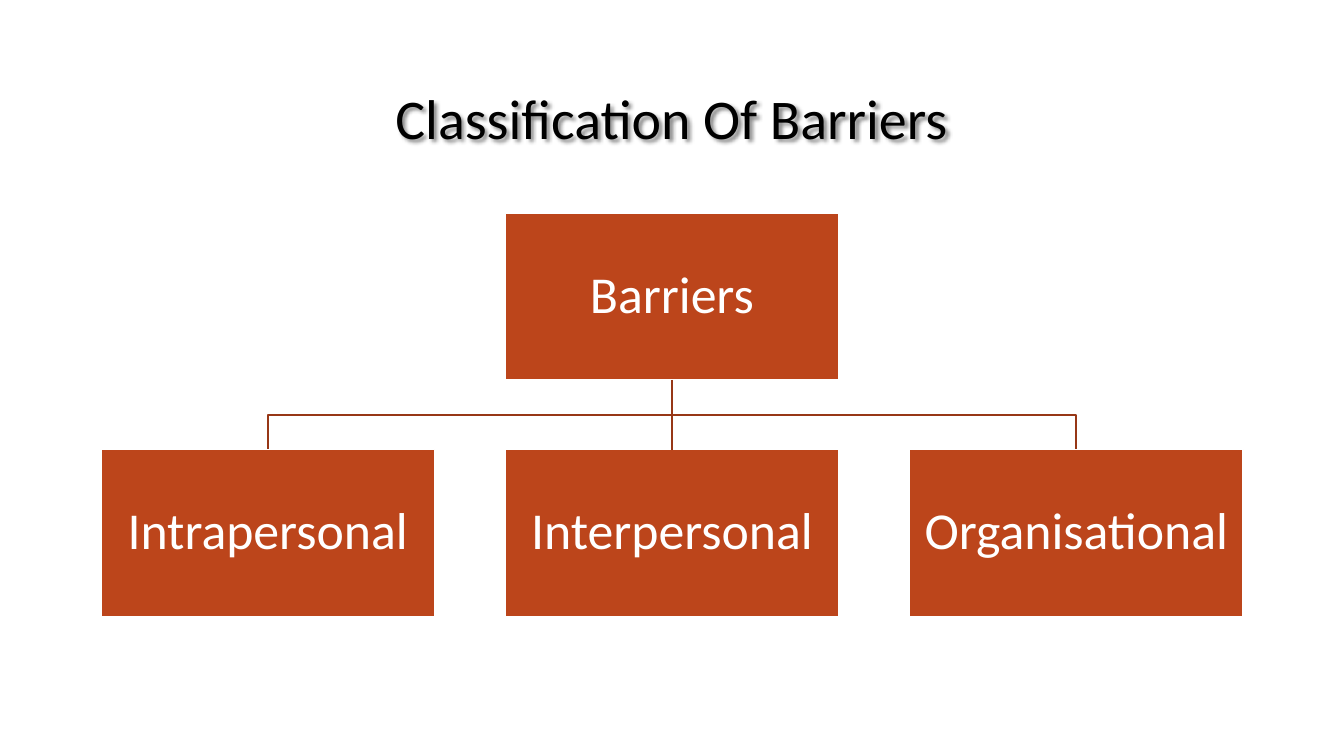
from lxml.etree import SubElement
from pptx import Presentation
from pptx.dml.color import RGBColor
from pptx.enum.shapes import MSO_CONNECTOR as Connector, MSO_SHAPE as Shape
from pptx.enum.text import MSO_ANCHOR as Anchor, MSO_AUTO_SIZE as AutoSize, PP_ALIGN as Align
from pptx.oxml import parse_xml
from pptx.oxml.ns import nsdecls, qn
from pptx.util import Inches, Pt

BLACK = RGBColor(0x00, 0x00, 0x00)
WHITE = RGBColor(0xFF, 0xFF, 0xFF)
RUST = RGBColor(0xBC, 0x45, 0x1B)
DARK_RUST = RGBColor(0x97, 0x37, 0x16)

TITLE_OUTLINE = f"""<a:ln {nsdecls('a')} w="9525"><a:solidFill><a:srgbClr val="404040">
<a:alpha val="10000"/></a:srgbClr></a:solidFill><a:prstDash val="solid"/></a:ln>"""
TITLE_SHADOW = f"""<a:effectLst {nsdecls('a')}><a:outerShdw blurRad="38100" dist="28575"
dir="2700000" algn="tl" rotWithShape="0"><a:srgbClr val="000000"><a:alpha val="45000"/>
</a:srgbClr></a:outerShdw></a:effectLst>"""


class BarrierChart:
    """Draws a titled hierarchy on a grid of columns and rows."""

    left, top = Inches(1), Inches(2.11)
    width, height = Inches(3.31), Inches(1.66)
    column_step, row_step = Inches(4.01), Inches(2.35)
    inset = Inches(0.03)
    line_width = Pt(1.25)

    def __init__(self, deck):
        self.slide = deck.slides.add_slide(deck.slide_layouts[5])
        self.shapes = self.slide.shapes

    def apply(self, target, values):
        for name, value in values.items():
            setattr(target, name, value)

    def label(self, frame, wording, size, color, **frame_format):
        self.apply(frame, dict(vertical_anchor=Anchor.MIDDLE, word_wrap=True,
                               auto_size=AutoSize.NONE, **frame_format))
        paragraph = frame.paragraphs[0]
        self.apply(paragraph, dict(alignment=Align.CENTER, line_spacing=0.9))
        run = paragraph.add_run()
        run.text = wording
        self.apply(run.font, dict(name="Calibri", size=Pt(size), bold=False))
        run.font.color.rgb = color
        return run

    def stroke(self, line, color):
        line.color.rgb = color
        line.width = self.line_width

    def heading(self, wording):
        title = self.shapes.title
        self.apply(title, dict(left=self.left, top=Inches(0.67),
                               width=Inches(11.32), height=Inches(1.06)))
        run = self.label(title.text_frame, wording, 40, BLACK)
        run.font._element.insert(0, parse_xml(TITLE_OUTLINE))
        title._element.spPr.append(parse_xml(TITLE_SHADOW))

    def cell(self, column, row):
        return self.left + column * self.column_step, self.top + row * self.row_step

    def branch(self, parent_column, child_column):
        start_x, start_y = self.cell(parent_column, 0)
        end_x, end_y = self.cell(child_column, 1)
        start_x, end_x = start_x + self.width // 2, end_x + self.width // 2
        start_y += self.height
        middle_y = (start_y + end_y) // 2
        builder = self.shapes.build_freeform(start_x, start_y)
        builder.add_line_segments(
            [(start_x, middle_y), (end_x, middle_y), (end_x, end_y)], close=False)
        elbow = builder.convert_to_shape()
        elbow.shadow.inherit = False
        elbow.fill.background()
        self.stroke(elbow.line, DARK_RUST)

    def box(self, wording, column, row):
        box = self.shapes.add_shape(Shape.RECTANGLE, *self.cell(column, row),
                                    self.width, self.height)
        box.shadow.inherit = False
        box.fill.solid()
        box.fill.fore_color.rgb = RUST
        self.stroke(box.line, WHITE)
        margins = {f"margin_{side}": self.inset for side in ("left", "top", "right", "bottom")}
        self.label(box.text_frame, wording, 37, WHITE, **margins)
        return box

    def trunk(self, parent, child):
        trunk = self.shapes.add_connector(Connector.STRAIGHT, 0, 0, 0, 0)
        trunk.begin_connect(parent, 2)
        trunk.end_connect(child, 0)
        self.stroke(trunk.line, DARK_RUST)
        SubElement(trunk._element.spPr, qn("a:effectLst"))


def main():
    deck = Presentation()
    deck.slide_width, deck.slide_height = Inches(13.33), Inches(7.5)
    chart = BarrierChart(deck)
    chart.heading("Classification Of Barriers")
    for outer_column in (2, 0):
        chart.branch(1, outer_column)
    barriers = chart.box("Barriers", 1, 0)
    kinds = [chart.box(kind, column, 1) for column, kind in
             enumerate(("Intrapersonal", "Interpersonal", "Organisational"))]
    chart.trunk(barriers, kinds[1])
    deck.save("out.pptx")


if __name__ == "__main__":
    main()
